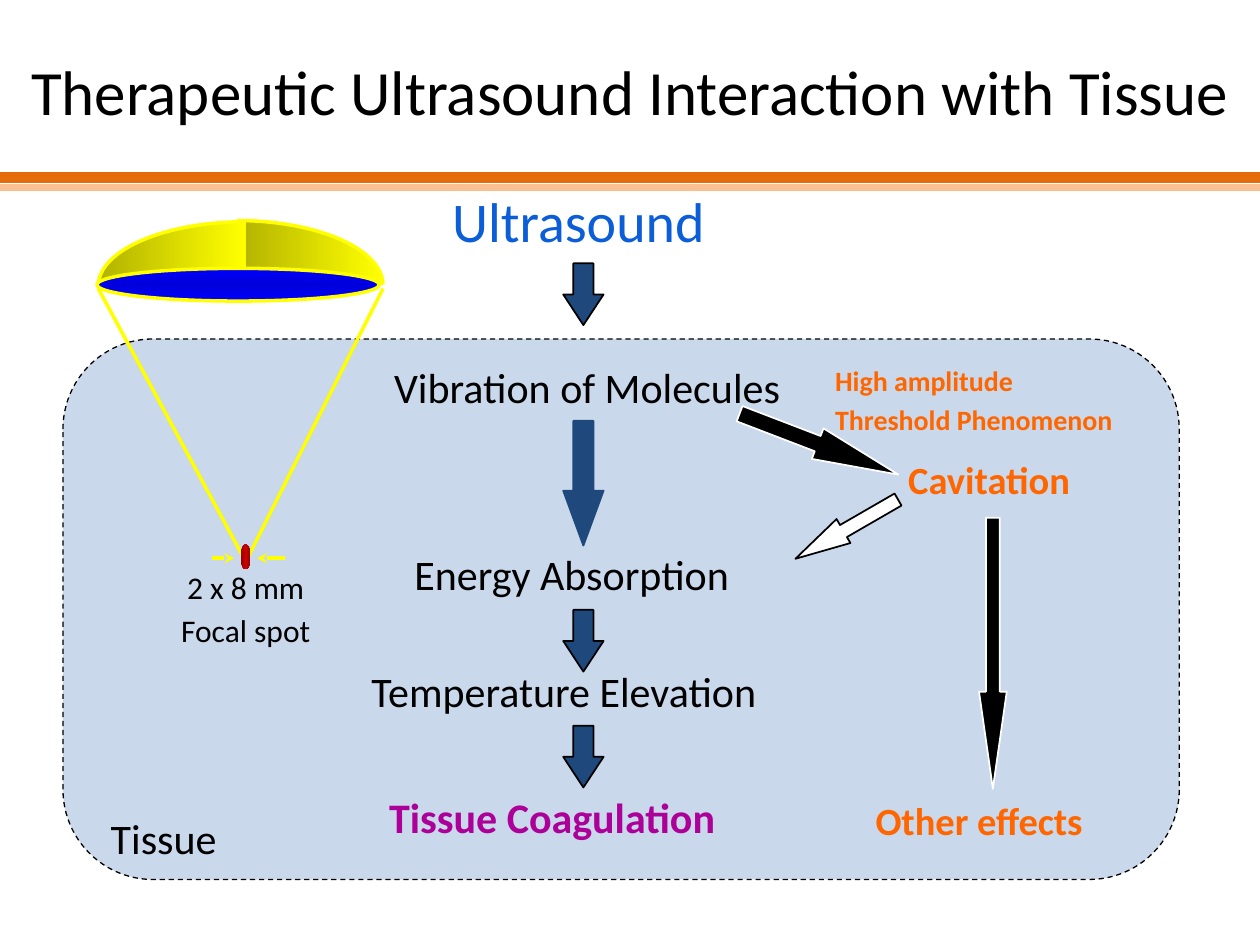
"""Build a slide on how therapeutic ultrasound interacts with tissue."""
from dataclasses import dataclass
from math import cos, pi, sin

from lxml.etree import SubElement
from pptx import Presentation
from pptx.dml.color import RGBColor
from pptx.enum.dml import MSO_LINE
from pptx.enum.shapes import MSO_CONNECTOR, MSO_SHAPE
from pptx.enum.text import MSO_ANCHOR, PP_ALIGN
from pptx.oxml.ns import qn
from pptx.util import Emu, Inches, Pt

COLUMNS, ROWS = 100, 75
WIDTH, HEIGHT = Inches(10), Inches(7.5)


@dataclass(frozen=True)
class Theme:
    font: str = "Calibri"
    ink: str = "000000"
    paper: str = "FFFFFF"
    navy: str = "1F497D"
    tissue: str = "4F81BD"
    heading: str = "0B5ED7"
    result: str = "AC0098"
    cavitation: str = "FF6600"
    beam: str = "FFFF00"
    rule_dark: str = "E46C0A"
    rule_light: str = "FAC090"
    dome: tuple = ((0, "B2B200"), (100, "FFFF00"))
    lens: tuple = ((0, "0000DA"), (100, "0000FF"))
    focus: tuple = ((0, "8E0000"), (50, "CC0000"), (100, "8E0000"))
    title_size: int = 36
    heading_size: int = 32
    step_size: int = 24
    effect_size: int = 22
    small_size: int = 18
    note_size: int = 16


THEME = Theme()


@dataclass(frozen=True)
class Area:
    left: float
    top: float
    width: float
    height: float

    def emu(self) -> tuple:
        return (column(self.left), row(self.top), column(self.width), row(self.height))


@dataclass(frozen=True)
class Label:
    area: Area
    lines: tuple
    size: int = THEME.step_size
    color: str = THEME.ink
    bold: bool = False
    align: PP_ALIGN = PP_ALIGN.LEFT


@dataclass(frozen=True)
class Arrow:
    area: Area
    head: float
    fill: str = THEME.navy
    line: str = THEME.ink
    rotation: int = 0


@dataclass(frozen=True)
class Stroke:
    start: tuple
    end: tuple
    color: str = THEME.beam
    weight: float = 2
    arrow: bool = False


def column(count: float) -> Emu:
    return Emu(round(WIDTH * count / COLUMNS))


def row(count: float) -> Emu:
    return Emu(round(HEIGHT * count / ROWS))


def style(shape, fill: str = "", line: str = "", weight: float = 1) -> None:
    shape.shadow.inherit = False
    if fill:
        shape.fill.solid()
        shape.fill.fore_color.rgb = RGBColor.from_string(fill)
    else:
        shape.fill.background()
    if line:
        shape.line.color.rgb = RGBColor.from_string(line)
        shape.line.width = Pt(weight)
    else:
        shape.line.fill.background()


def shade(shape, stops: tuple, angle: int = 0, radial: bool = False) -> None:
    shape.fill.gradient()
    gradient = shape.element.spPr.find(qn("a:gradFill"))
    for child in list(gradient):
        gradient.remove(child)
    stop_list = SubElement(gradient, qn("a:gsLst"))
    for position, color in stops:
        stop = SubElement(stop_list, qn("a:gs"), pos=str(position * 1000))
        SubElement(stop, qn("a:srgbClr"), val=color)
    if radial:
        center = SubElement(gradient, qn("a:path"), path="shape")
        SubElement(center, qn("a:fillToRect"), l="50000", t="50000", r="50000", b="50000")
    else:
        SubElement(gradient, qn("a:lin"), ang=str(angle * 60000), scaled="1")


def write(para, text: str, size: int, color: str, bold: bool = False) -> None:
    span = para.add_run()
    span.text = text
    span.font.name = THEME.font
    span.font.size = Pt(size)
    span.font.bold = bold
    span.font.color.rgb = RGBColor.from_string(color)


def draw_title(page, text: str) -> None:
    title = page.shapes.title
    title.left, title.top, title.width, title.height = Area(0, 0.9, 100, 12.5).emu()
    title.text_frame.vertical_anchor = MSO_ANCHOR.MIDDLE
    para = title.text_frame.paragraphs[0]
    para.alignment = PP_ALIGN.CENTER
    write(para, text, THEME.title_size, THEME.ink)


def draw_label(page, label: Label) -> None:
    frame = page.shapes.add_textbox(*label.area.emu()).text_frame
    frame.word_wrap = True
    for index, text in enumerate(label.lines):
        para = frame.add_paragraph() if index else frame.paragraphs[0]
        para.alignment = label.align
        if index:
            para.space_before = Pt(3)
        write(para, text, label.size, label.color, label.bold)


def draw_arrow(page, arrow: Arrow) -> None:
    shape = page.shapes.add_shape(MSO_SHAPE.DOWN_ARROW, *arrow.area.emu())
    shape.adjustments[0], shape.adjustments[1] = 0.5, arrow.head
    shape.rotation = arrow.rotation
    style(shape, arrow.fill, arrow.line)


def draw_stroke(page, stroke: Stroke) -> None:
    (x1, y1), (x2, y2) = stroke.start, stroke.end
    line = page.shapes.add_connector(
        MSO_CONNECTOR.STRAIGHT, column(x1), row(y1), column(x2), row(y2))
    line.line.color.rgb = RGBColor.from_string(stroke.color)
    line.line.width = Pt(stroke.weight)
    if stroke.arrow:
        SubElement(line.line._get_or_add_ln(), qn("a:tailEnd"), type="stealth")
    SubElement(line.element.spPr, qn("a:effectLst"))


def draw_dome_half(page, middle: float, edge: float, top: float, base: float) -> None:
    angles = [step * pi / 48 for step in range(25)]
    arc = [(column(middle + (edge - middle) * sin(angle)),
            row(base - (base - top) * cos(angle))) for angle in angles]
    for closed in (True, False):
        builder = page.shapes.build_freeform(*arc[0])
        corner = [(column(middle), row(base))] if closed else []
        builder.add_line_segments(arc[1:] + corner, close=closed)
        shape = builder.convert_to_shape()
        style(shape, line="" if closed else THEME.beam, weight=2)
        if closed:
            shade(shape, THEME.dome)


def draw_ellipse(page, area: Area, stops: tuple, line: str = "", radial: bool = False) -> None:
    shape = page.shapes.add_shape(MSO_SHAPE.OVAL, *area.emu())
    style(shape, line=line, weight=2)
    shade(shape, stops, radial=radial)


def draw_tissue(page) -> None:
    shape = page.shapes.add_shape(MSO_SHAPE.ROUNDED_RECTANGLE, *Area(5, 26.9, 88.6, 42.9).emu())
    style(shape, THEME.tissue, THEME.ink, 0.75)
    shape.line.dash_style = MSO_LINE.DASH
    color = shape.element.spPr.find(qn("a:solidFill"))[0]
    SubElement(color, qn("a:alpha"), val="30000")


RULES = (Stroke((-0.3, 14.9), (100.3, 14.9), THEME.rule_light, 4),
         Stroke((-0.3, 14.1), (100.3, 14.1), THEME.rule_dark, 6))
BEAMS = (Stroke((30.4, 22.9), (19.7, 44.2)), Stroke((7.8, 22.9), (19.3, 44.2)))
POINTERS = (Stroke((22.6, 44.3), (20.4, 44.3), arrow=True),
            Stroke((16.8, 44.3), (18.6, 44.3), arrow=True))
ARROWS = (
    Arrow(Area(44.7, 33.4, 3.2, 9.9), 1.36, line=THEME.navy),
    *(Arrow(Area(44.7, top, 3.2, 4.9), 0.76) for top in (20.9, 48.4, 57.6)),
    Arrow(Area(63.7, 28.5, 2.6, 13.5), 2.64, THEME.ink, THEME.paper, 291),
    Arrow(Area(77.7, 41.1, 2.2, 21.5), 3.5, THEME.ink, THEME.paper),
    Arrow(Area(66.1, 37.3, 2.2, 9.4), 2, THEME.paper, THEME.ink, 60),
)
LABELS = (
    Label(Area(34.9, 14.3, 23.7, 6.4), ("Ultrasound",), THEME.heading_size, THEME.heading),
    Label(Area(30.3, 28.2, 35.1, 5.1), ("Vibration of Molecules",)),
    Label(Area(31.9, 43, 29.6, 5.1), ("Energy Absorption",)),
    Label(Area(28.5, 52.3, 35.7, 5.1), ("Temperature Elevation",)),
    Label(Area(29.9, 62.3, 33, 5.1), ("Tissue Coagulation",), color=THEME.result, bold=True),
    Label(Area(7.8, 64, 11.8, 5.1), ("Tissue",)),
    Label(Area(71.1, 35.7, 16.8, 4.7), ("Cavitation",), THEME.effect_size, THEME.cavitation, True),
    Label(Area(68.5, 62.8, 20.9, 4.7), ("Other effects",),
          THEME.effect_size, THEME.cavitation, True),
    Label(Area(65.3, 28.4, 28, 6.7), ("High amplitude", "Threshold Phenomenon"),
          THEME.note_size, THEME.cavitation, True),
    Label(Area(13.3, 44.6, 12.4, 7.5), ("2 x 8 mm", "Focal spot"),
          THEME.small_size, align=PP_ALIGN.CENTER),
)


def main() -> None:
    deck = Presentation()
    deck.slide_width, deck.slide_height = WIDTH, HEIGHT
    page = deck.slides.add_slide(deck.slide_layouts[5])
    draw_title(page, "Therapeutic Ultrasound Interaction with Tissue")
    for stroke in RULES:
        draw_stroke(page, stroke)
    draw_tissue(page)
    for arrow in ARROWS:
        draw_arrow(page, arrow)
    draw_dome_half(page, 18.8, 30.4, 17.5, 22.6)
    draw_dome_half(page, 19.5, 7.8, 17.6, 22.7)
    draw_ellipse(page, Area(7.7, 21.3, 22.4, 2.6), THEME.lens, THEME.beam, True)
    for stroke in BEAMS:
        draw_stroke(page, stroke)
    draw_ellipse(page, Area(19.1, 43.2, 0.8, 2), THEME.focus)
    for stroke in POINTERS:
        draw_stroke(page, stroke)
    for label in LABELS:
        draw_label(page, label)
    deck.save("out.pptx")


if __name__ == "__main__":
    main()
